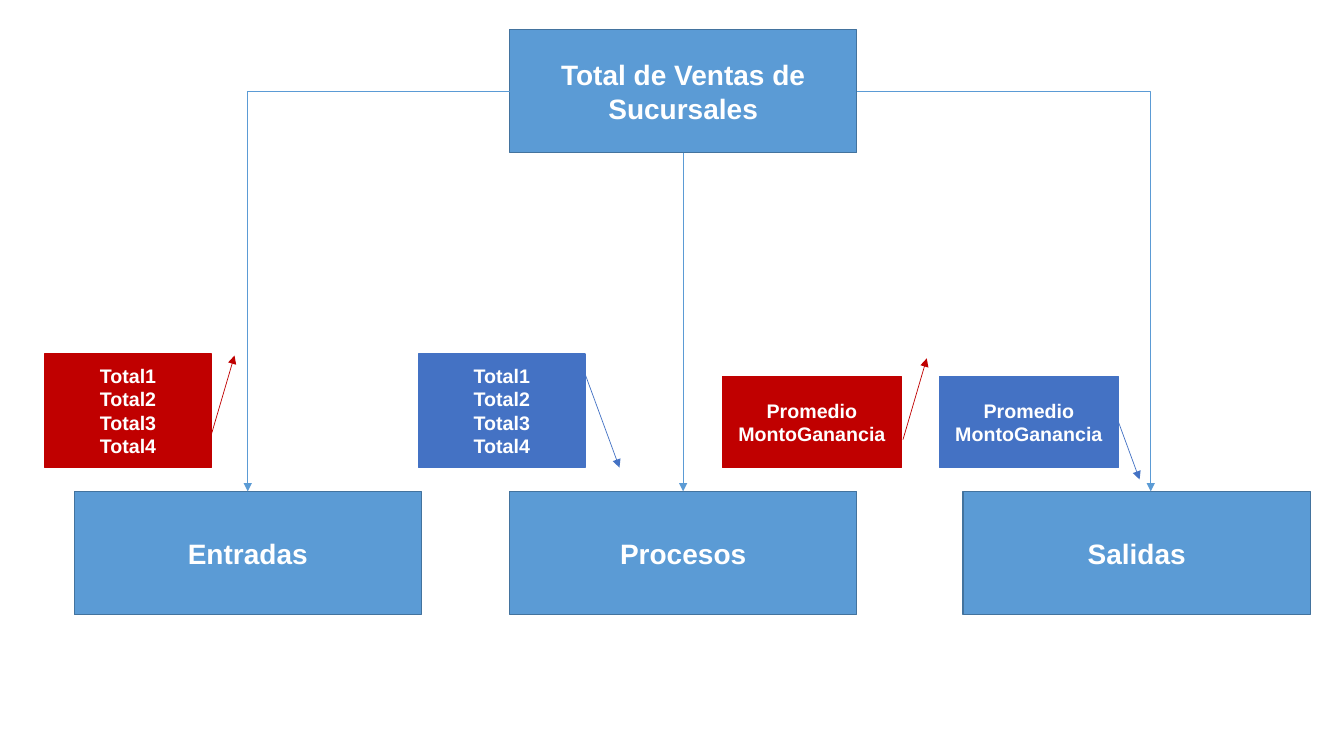
from dataclasses import dataclass

from lxml import etree
from pptx import Presentation
from pptx.dml.color import RGBColor
from pptx.enum.shapes import MSO_CONNECTOR, MSO_SHAPE
from pptx.enum.text import MSO_ANCHOR, MSO_AUTO_SIZE, PP_ALIGN
from pptx.oxml.ns import qn
from pptx.util import Pt


@dataclass(frozen=True)
class Theme:
    font: str = "Arial"
    white: RGBColor = RGBColor(0xFF, 0xFF, 0xFF)
    stage: RGBColor = RGBColor(0x5B, 0x9B, 0xD5)
    stage_edge: RGBColor = RGBColor(0x43, 0x73, 0x9E)
    red: RGBColor = RGBColor(0xC0, 0x00, 0x00)
    blue: RGBColor = RGBColor(0x44, 0x72, 0xC4)
    stage_size: int = 20
    note_size: int = 14


THEME = Theme()
TOP, LEFT, BOTTOM, RIGHT = range(4)  # connection sites of a rectangle
STAGE_WIDTH, STAGE_HEIGHT = 248, 88
STAGE_TOP = 351
NOTE_BOTTOM = 334
RISE, FALL = (17, -58), (25, 68)


def format_box(box, lines, fill, edge, size):
    """Fill and outline a box and write its centred bold lines."""
    box.fill.solid()
    box.fill.fore_color.rgb = fill
    box.line.color.rgb = edge
    box.line.width = Pt(1)
    frame = box.text_frame
    frame.text = "\n".join(lines)
    frame.word_wrap = True
    frame.auto_size = MSO_AUTO_SIZE.NONE
    frame.vertical_anchor = MSO_ANCHOR.MIDDLE
    for para in frame.paragraphs:
        para.alignment = PP_ALIGN.CENTER
        para.line_spacing = 1.0
        para.space_before = Pt(0)
        para.font.name = THEME.font
        para.font.size = Pt(size)
        para.font.bold = True
        para.font.color.rgb = THEME.white


def add_box(page, left, top, width, height, lines, fill, edge, size):
    box = page.shapes.add_shape(
        MSO_SHAPE.RECTANGLE, Pt(left), Pt(top), Pt(width), Pt(height))
    box.shadow.inherit = False
    format_box(box, lines, fill, edge, size)
    return box


def add_title(page, text):
    """Turn the title placeholder into the head of the diagram."""
    title = page.shapes.title
    title.left, title.top = Pt(364), Pt(21)
    title.width, title.height = Pt(STAGE_WIDTH), Pt(STAGE_HEIGHT)
    format_box(title, [text], THEME.stage, THEME.stage_edge, THEME.stage_size)
    return title


def add_stage(page, left, name):
    return add_box(page, left, STAGE_TOP, STAGE_WIDTH, STAGE_HEIGHT, [name],
                   THEME.stage, THEME.stage_edge, THEME.stage_size)


def add_note(page, left, width, height, lines, color):
    return add_box(page, left, NOTE_BOTTOM - height, width, height, lines,
                   color, color, THEME.note_size)


def add_arrow(page, start, end, color, kind=MSO_CONNECTOR.STRAIGHT):
    arrow = page.shapes.add_connector(
        kind, *(Pt(value) for value in (*start, *end)))
    arrow.line.color.rgb = color
    arrow.line.width = Pt(0.5)
    properties = arrow._element.spPr
    outline = properties.find(qn("a:ln"))
    etree.SubElement(outline, qn("a:tailEnd"), type="triangle")
    etree.SubElement(properties, qn("a:effectLst"))
    if kind == MSO_CONNECTOR.ELBOW:  # a single corner
        properties.find(qn("a:prstGeom")).set("prst", "bentConnector2")
    return arrow


def add_branch(page, title, site, stage, end_x):
    """Lead from a side of the title down to the top of a stage."""
    kind = MSO_CONNECTOR.STRAIGHT if site == BOTTOM else MSO_CONNECTOR.ELBOW
    arrow = add_arrow(page, (0, 0), (end_x, STAGE_TOP), THEME.stage, kind)
    arrow.begin_connect(title, site)
    if Pt(end_x) == stage.left + stage.width // 2:
        arrow.end_connect(stage, TOP)


def add_trend(page, start, step, color):
    end = (start[0] + step[0], start[1] + step[1])
    add_arrow(page, start, end, color)


def main():
    deck = Presentation()
    deck.slide_width, deck.slide_height = Pt(960), Pt(540)
    page = deck.slides.add_slide(deck.slide_layouts[5])

    # Title and the three stages under it
    title = add_title(page, "Total de Ventas de Sucursales")
    for name, left, site, end_x in (
            ("Entradas", 53, LEFT, 177),
            ("Procesos", 364, BOTTOM, 488),
            ("Salidas", 688, RIGHT, 822)):
        stage = add_stage(page, left, name)
        add_branch(page, title, site, stage, end_x)

    # Notes with totals and averages
    totals = [f"Total{number}" for number in range(1, 5)]
    average = ["Promedio", "MontoGanancia"]
    for left, color in ((32, THEME.red), (299, THEME.blue)):
        add_note(page, left, 119, 81, totals, color)
    for left, color in ((516, THEME.red), (671, THEME.blue)):
        add_note(page, left, 128, 65, average, color)

    # Rising and falling trend arrows
    for start in ((150.5, 312), (645, 314)):
        add_trend(page, start, RISE, THEME.red)
    for start in ((417.5, 266), (789, 274.5)):
        add_trend(page, start, FALL, THEME.blue)

    deck.save("out.pptx")


main()
